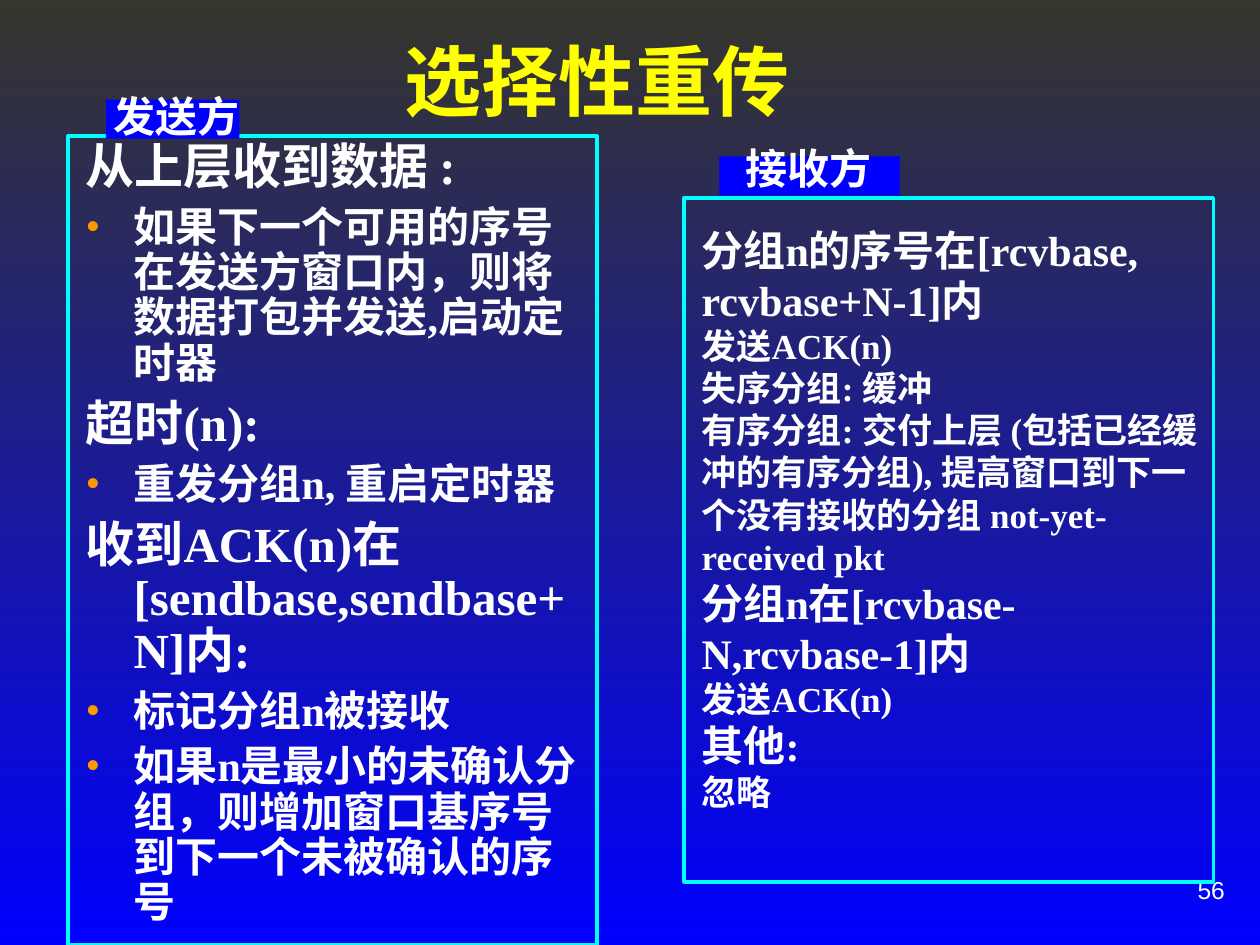
from lxml import etree
from pptx import Presentation
from pptx.dml.color import RGBColor
from pptx.enum.shapes import MSO_SHAPE
from pptx.enum.text import MSO_ANCHOR, MSO_AUTO_SIZE, PP_ALIGN
from pptx.oxml.ns import qn
from pptx.util import Inches, Pt

RECTANGLE = MSO_SHAPE.RECTANGLE
MIDDLE, TOP = MSO_ANCHOR.MIDDLE, MSO_ANCHOR.TOP
NO_AUTOFIT = MSO_AUTO_SIZE.NONE
LEFT, CENTER, RIGHT = PP_ALIGN.LEFT, PP_ALIGN.CENTER, PP_ALIGN.RIGHT
COLORS = {name: RGBColor.from_string(value) for name, value in {
    "dusk": "36362B", "blue": "0000FF", "yellow": "FFFF00",
    "white": "FFFFFF", "cyan": "00FFFF", "orange": "FF9900"}.items()}
SERIF, HAND, SANS = "Times New Roman", "Comic Neue", "Arial"

presentation = Presentation()
presentation.slide_width, presentation.slide_height = Inches(10), Inches(7.5)
COLUMN = presentation.slide_width / 100
ROW = presentation.slide_height / 75
slide = presentation.slides.add_slide(presentation.slide_layouts[1])


def grid(left, top, width, height):
    return [round(value) for value in
            (left * COLUMN, top * ROW, width * COLUMN, height * ROW)]


def write(shape, lines, font_name, color, align=LEFT, anchor=TOP, wrap=True, bold=True):
    frame = shape.text_frame
    frame.text = "\n".join(text for text, size in lines)
    frame.auto_size = NO_AUTOFIT
    frame.word_wrap = wrap
    frame.vertical_anchor = anchor
    for paragraph, (text, size) in zip(frame.paragraphs, lines):
        paragraph.alignment = align
        font = paragraph.runs[0].font
        font.name, font.size, font.bold = font_name, Pt(size), bold
        font.color.rgb = COLORS[color]


background = slide.background.fill
background.gradient()
background.gradient_angle = 270
for stop, color, position in zip(background.gradient_stops, ("dusk", "blue"), (0, 1)):
    stop.color.rgb = COLORS[color]
    stop.position = position

page_number = slide.shapes.add_textbox(*grid(71.7, 68.1, 26.5, 5))
write(page_number, [("56", 14)], SANS, "white", RIGHT, MIDDLE, False, False)

title = slide.shapes.title
title.left, title.top, title.width, title.height = grid(4.9, 1.7, 85, 9.2)
write(title, [("选择性重传", 44)], SERIF, "yellow", CENTER, MIDDLE)

sender_lines = [
    ("从上层收到数据 :", 28),
    ("如果下一个可用的序号在发送方窗口内，则将数据打包并发送,启动定时器", 24),
    ("超时(n):", 28),
    ("重发分组n, 重启定时器", 24),
    ("收到ACK(n)在[sendbase,sendbase+N]内:", 28),
    ("标记分组n被接收", 24),
    ("如果n是最小的未确认分组，则增加窗口基序号到下一个未被确认的序号", 24),
]
sender = slide.placeholders[1]
sender.left, sender.top, sender.width, sender.height = grid(5.8, 10.8, 41.7, 64.2)
write(sender, sender_lines, SERIF, "white")
for index, paragraph in enumerate(sender.text_frame.paragraphs):
    is_heading = sender_lines[index][1] == 28
    paragraph.line_spacing = 0.9
    paragraph.space_before = Pt(0 if index == 0 else 7 if is_heading else 6)
    properties = paragraph._p.get_or_add_pPr()
    properties.set("marL", str(Inches(0.38)))
    properties.set("indent", str(-Inches(0.38)))
    if is_heading:
        etree.SubElement(properties, qn("a:buNone"))
    else:
        bullet_color = etree.SubElement(properties, qn("a:buClr"))
        etree.SubElement(bullet_color, qn("a:srgbClr"), val=str(COLORS["orange"]))
        etree.SubElement(properties, qn("a:buFont"), typeface=SERIF)
        etree.SubElement(properties, qn("a:buChar"), char="•")

receiver = slide.shapes.add_textbox(*grid(54.7, 17.3, 41.7, 52.7))
write(receiver, [
    ("分组n的序号在[rcvbase, rcvbase+N-1]内", 24),
    ("发送ACK(n)", 20),
    ("失序分组: 缓冲", 20),
    ("有序分组: 交付上层 (包括已经缓冲的有序分组), 提高窗口到下一个没有接收的分组 not-yet-received pkt", 20),
    ("分组n在[rcvbase-N,rcvbase-1]内", 24),
    ("发送ACK(n)", 20),
    ("其他:", 24),
    ("忽略", 20),
], SERIF, "white")

panels = [
    ("发送方", (5.4, 10.8, 42, 64.2), (8.4, 7.9, 10.6, 3.1), (8, 6.7, 12, 5)),
    ("接收方", (54.3, 15.7, 42, 54.3), (57.1, 12.4, 14.3, 3.1), (58.2, 10.8, 12, 5)),
]
for name, frame_area, tag_area, label_area in panels:
    border = slide.shapes.add_shape(RECTANGLE, *grid(*frame_area))
    border.shadow.inherit = False
    border.fill.background()
    border.line.color.rgb = COLORS["cyan"]
    border.line.width = Pt(2)
    tag = slide.shapes.add_shape(RECTANGLE, *grid(*tag_area))
    tag.shadow.inherit = False
    tag.fill.solid()
    tag.fill.fore_color.rgb = COLORS["blue"]
    tag.line.fill.background()
    label = slide.shapes.add_textbox(*grid(*label_area))
    write(label, [(name, 24)], HAND, "white", CENTER, wrap=False)

presentation.save("out.pptx")
